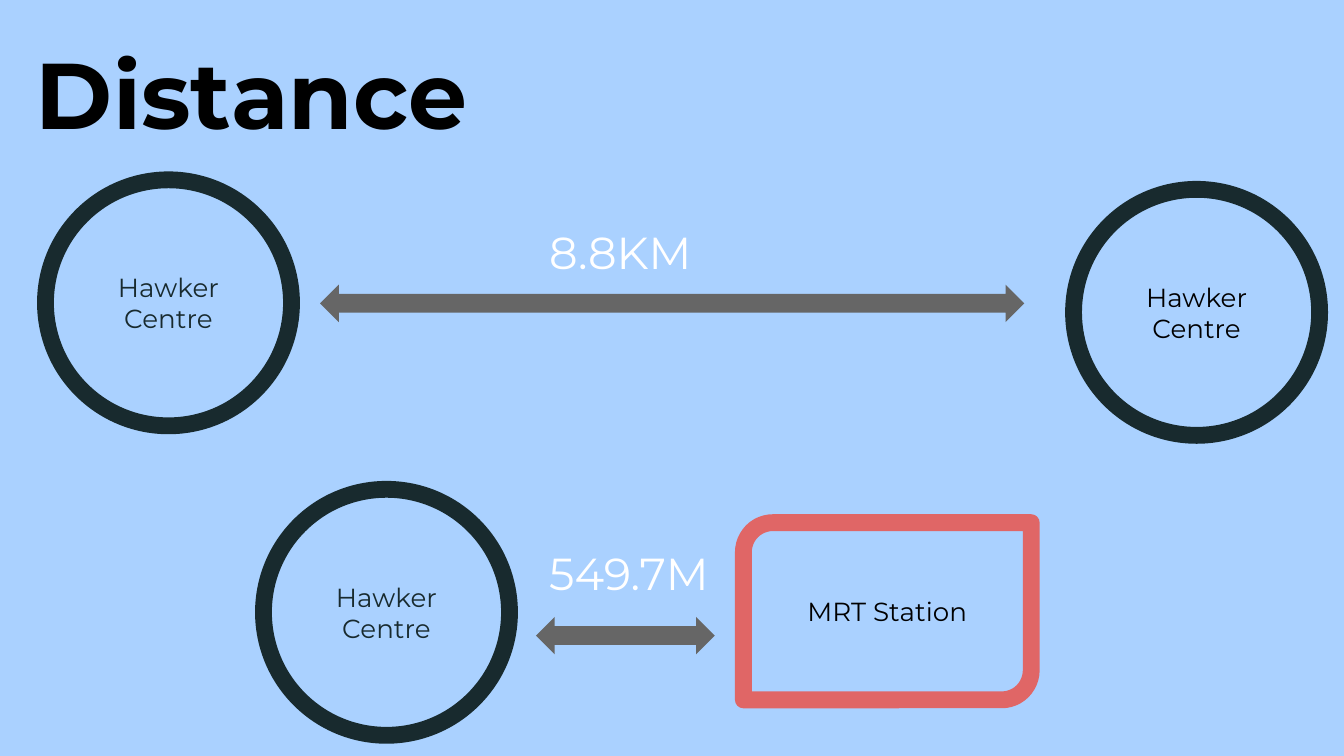
from pptx import Presentation
from pptx.dml.color import RGBColor
from pptx.enum.shapes import MSO_SHAPE
from pptx.enum.text import MSO_ANCHOR, PP_ALIGN
from pptx.util import Cm, Pt

OVAL = MSO_SHAPE.OVAL
STATION = MSO_SHAPE.ROUND_2_DIAG_RECTANGLE
ARROW = MSO_SHAPE.LEFT_RIGHT_ARROW
TOP, MIDDLE = MSO_ANCHOR.TOP, MSO_ANCHOR.MIDDLE
LEFT, CENTER = PP_ALIGN.LEFT, PP_ALIGN.CENTER

THEME = {
    "font": "Montserrat",
    "background": "AAD1FF",
    "black": "000000",
    "dark": "182A2E",
    "white": "FFFFFF",
    "red": "E06666",
    "gray": "666666",
    "title": 50,
    "distance": 24,
    "place": 14,
    "outline": 9,
}

SLIDE_SIZE = (25.4, 14.29)
INSET = 0.25
DIAMETER = 4.65
ARROW_HEIGHT = 0.71
DISTANCE_LEFT = 10.13

TITLE = ("Distance", (0.43, 0.43, 18.92, 2.92))
HAWKER_CENTRES = [
    ((20.29, 3.58), "black"),
    ((0.86, 3.4), "dark"),
    ((4.98, 9.25), "dark"),
]
MRT_STATION = ("MRT Station", (14.05, 9.88, 5.44, 3.35))
DISTANCES = [
    ("8.8KM", (3.58, 3.2, 2.34), (6.05, 5.38, 13.31)),
    ("549.7M", (9.5, 3.84, 2.64), (10.13, 11.66, 3.38)),
]


def color(name):
    return RGBColor.from_string(THEME[name])


def write(shape, text, size, ink, align=LEFT, anchor=MIDDLE, bold=False):
    frame = shape.text_frame
    frame_format = {"word_wrap": True, "vertical_anchor": anchor}
    frame_format.update({f"margin_{side}": Cm(INSET) for side in ("left", "top", "right", "bottom")})
    for name, value in frame_format.items():
        setattr(frame, name, value)
    paragraph = frame.paragraphs[0]
    paragraph.text = text
    paragraph.alignment = align
    for run in paragraph.runs:
        for name, value in {"name": THEME["font"], "size": Pt(THEME[size]), "bold": bold}.items():
            setattr(run.font, name, value)
        run.font.color.rgb = color(ink)


def add_text(slide, box, text, size, ink, **options):
    write(slide.shapes.add_textbox(*map(Cm, box)), text, size, ink, **options)


def add_place(slide, kind, box, text, outline, ink):
    shape = slide.shapes.add_shape(kind, *map(Cm, box))
    shape.shadow.inherit = False
    shape.fill.background()
    shape.line.color.rgb = color(outline)
    shape.line.width = Pt(THEME["outline"])
    write(shape, text, "place", ink, align=CENTER)


def add_arrow(slide, left, top, width):
    arrow = slide.shapes.add_shape(ARROW, *map(Cm, (left, top, width, ARROW_HEIGHT)))
    arrow.shadow.inherit = False
    arrow.fill.solid()
    arrow.fill.fore_color.rgb = color("gray")
    arrow.line.fill.background()


def main():
    presentation = Presentation()
    presentation.slide_width, presentation.slide_height = map(Cm, SLIDE_SIZE)
    slide = presentation.slides.add_slide(presentation.slide_layouts[6])
    slide.background.fill.solid()
    slide.background.fill.fore_color.rgb = color("background")

    title, title_box = TITLE
    add_text(slide, title_box, title, "title", "black", anchor=TOP, bold=True)
    for position, ink in HAWKER_CENTRES:
        add_place(slide, OVAL, (*position, DIAMETER, DIAMETER), "Hawker\nCentre", "dark", ink)
    station, station_box = MRT_STATION
    add_place(slide, STATION, station_box, station, "red", "black")
    for distance, (top, width, height), arrow in DISTANCES:
        add_text(slide, (DISTANCE_LEFT, top, width, height), distance, "distance", "white")
        add_arrow(slide, *arrow)

    presentation.save("out.pptx")


if __name__ == "__main__":
    main()
